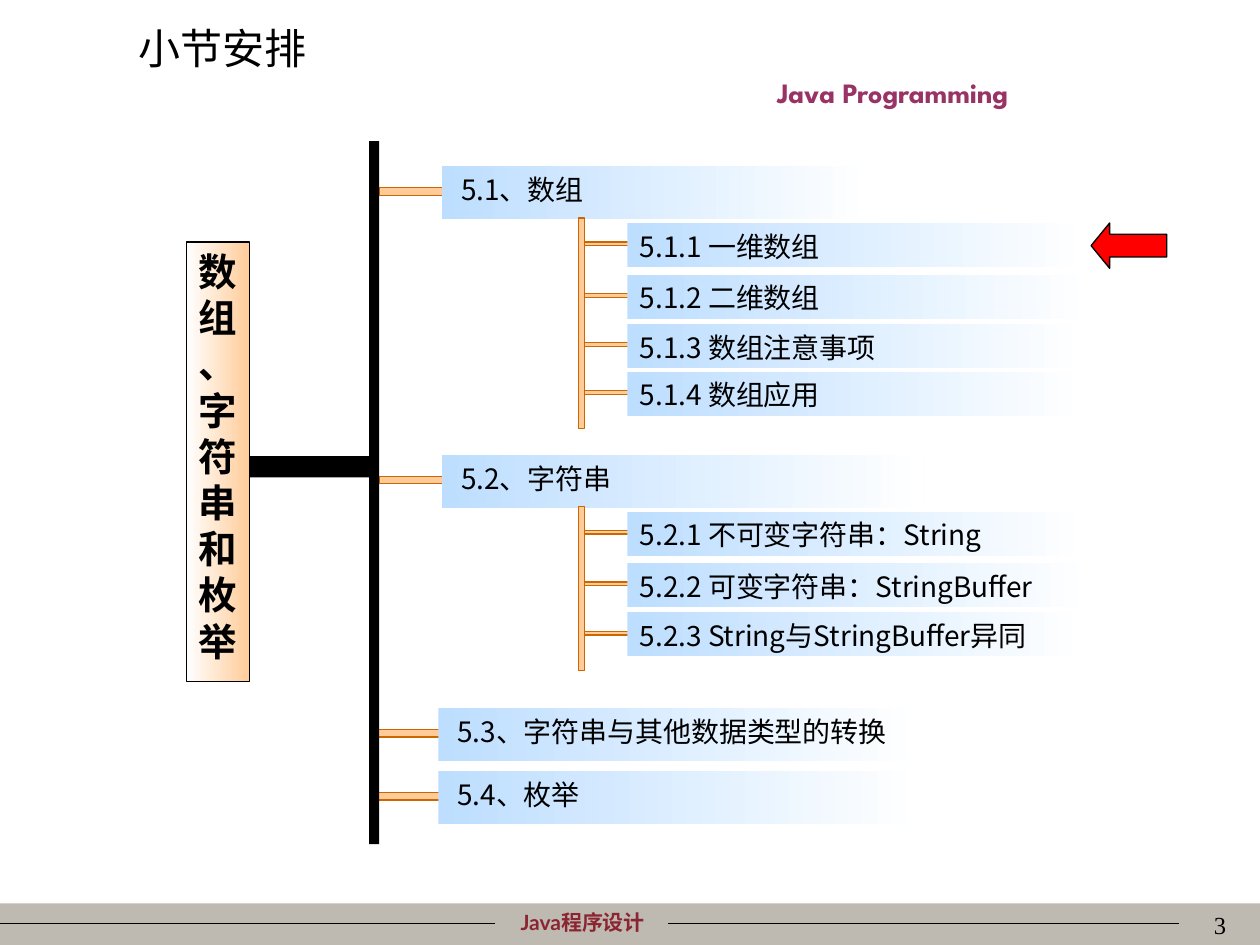
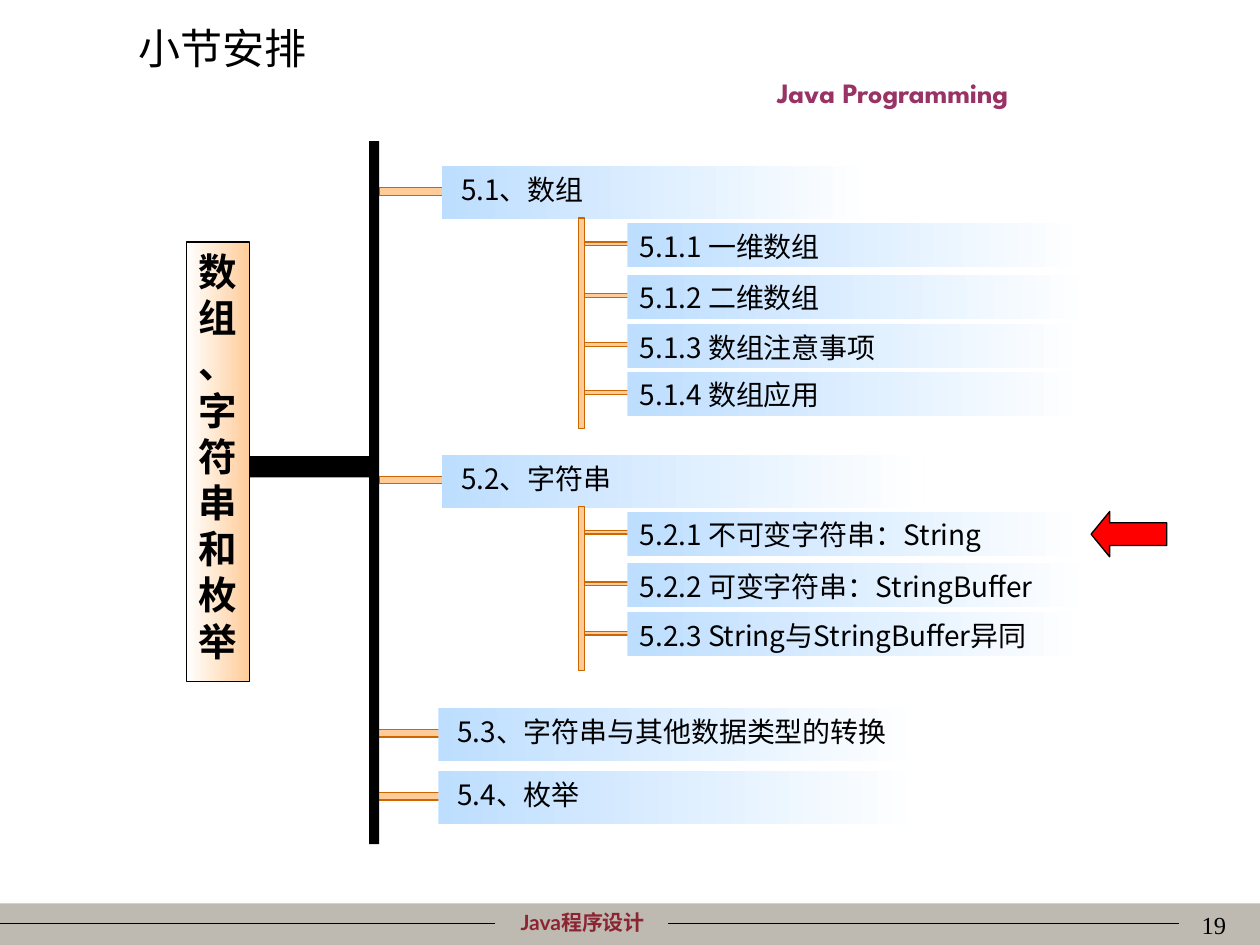
from lxml.etree import SubElement
from pptx import Presentation
from pptx.dml.color import RGBColor
from pptx.enum.shapes import MSO_CONNECTOR as LINK, MSO_SHAPE as SHAPE
from pptx.enum.text import MSO_ANCHOR as ANCHOR, PP_ALIGN as ALIGN
from pptx.oxml.ns import qn
from pptx.util import Inches, Pt

BLACK = RGBColor(0x00, 0x00, 0x00)
WHITE = RGBColor(0xFF, 0xFF, 0xFF)
RED = RGBColor(0xFF, 0x00, 0x00)
BLUE = RGBColor(0xBD, 0xDE, 0xFF)
PEACH = RGBColor(0xFF, 0xCC, 0x99)
RUST = RGBColor(0xCC, 0x66, 0x00)
TAUPE = RGBColor(0xBF, 0xBA, 0xB1)
WINE = RGBColor(0x8C, 0x25, 0x32)
PLUM = RGBColor(0x99, 0x33, 0x66)
HAN = "Noto Sans CJK SC"

# Section: left, top, width, heading, rail height, topics
SECTIONS = [
    (3.51, 1.32, 3.41, "5.1、数组", 1.67,
     ["5.1.1 一维数组", "5.1.2 二维数组", "5.1.3 数组注意事项", "5.1.4 数组应用"]),
    (3.51, 3.61, 3.83, "5.2、字符串", 1.3,
     ["5.2.1 不可变字符串：String", "5.2.2 可变字符串：StringBuffer",
      "5.2.3 String与StringBuffer异同"]),
    (3.48, 5.62, 3.83, "5.3、字符串与其他数据类型的转换", 0, []),
    (3.48, 6.12, 3.83, "5.4、枚举", 0, []),
]
# Topic: drop below the section top, width
ROWS = [(0.45, 3.65), (0.86, 3.69), (1.25, 3.64), (1.63, 3.64)]
# Page number and the top of the arrow
PAGES = [("3", 1.77), ("19", 4.06)]


def block(slide, box, fill, line=None, kind=SHAPE.RECTANGLE):
    """Add a shape; a pair of colours as fill gives a left-to-right gradient."""
    shape = slide.shapes.add_shape(kind, *map(Inches, box))
    shape.shadow.inherit = False
    if isinstance(fill, list):
        shape.fill.gradient()
        shape.fill.gradient_angle = 0
        for stop, color in zip(shape.fill.gradient_stops, fill):
            stop.color.rgb = color
    else:
        shape.fill.solid()
        shape.fill.fore_color.rgb = fill
    if line is None:
        shape.line.fill.background()
    else:
        shape.line.color.rgb = line
        shape.line.width = Pt(0.75)
    return shape


def write(shape, text, size, color=BLACK, font=HAN, bold=False,
          align=ALIGN.LEFT, anchor=ANCHOR.TOP, inset=0.1):
    """Put one run of text in a shape and return its paragraph."""
    frame = shape.text_frame
    frame.word_wrap = True
    frame.vertical_anchor = anchor
    frame.margin_left = Inches(inset)
    para = frame.paragraphs[0]
    para.alignment = align
    run = para.add_run()
    run.text = text
    run.font.size = Pt(size)
    run.font.bold = bold
    run.font.color.rgb = color
    run.font.name = font
    SubElement(run.font._element, qn("a:ea"), typeface=HAN)
    return para


prs = Presentation()
prs.slide_width, prs.slide_height = Inches(10), Inches(7.5)

for page, mark in PAGES:
    slide = prs.slides.add_slide(prs.slide_layouts[5])

    # Title
    title = slide.shapes.title
    title.left, title.top = Inches(1), Inches(0.13)
    title.width, title.height = Inches(2.85), Inches(0.5)
    write(title, "小节安排", 24, anchor=ANCHOR.MIDDLE)

    # Footer band and its rules
    block(slide, (0, 7.17, 10, 0.33), TAUPE)
    for start, end in [(0, 3.93), (5.3, 9.36)]:
        rule = slide.shapes.add_connector(
            LINK.STRAIGHT, Inches(start), Inches(7.33), Inches(end), Inches(7.33))
        rule.line.color.rgb = BLACK
        rule.line.width = Pt(0.75)
        SubElement(rule._element.spPr, qn("a:effectLst"))

    # Course name, heading and page number
    for box, text, size, color, font, bold, align in [
        ((3.62, 7.17, 2.01, 0.3), "Java程序设计", 12, WINE, "Lato", True, ALIGN.CENTER),
        ((5.08, 0.55, 4.01, 0.37), "Java Programming", 16, PLUM, "League Spartan",
         True, ALIGN.CENTER),
        ((7.75, 7.17, 2.08, 0.5), page, 14, BLACK, "Times New Roman", False, ALIGN.RIGHT),
    ]:
        label = slide.shapes.add_textbox(*map(Inches, box))
        write(label, text, size, color, font, bold, align)

    # Chapter box and stem
    root = block(slide, (1.48, 1.92, 0.5, 3.49), [WHITE, PEACH], BLACK)
    para = write(root, "数组、字符串和枚举", 22, bold=True, align=ALIGN.CENTER)
    para.line_spacing = Pt(26.4)
    block(slide, (1.98, 3.62, 1, 0.17), BLACK)

    # Sections with their topics
    for left, top, width, head, rail, topics in SECTIONS:
        block(slide, (left - 0.5, top + 0.17, 0.51, 0.06), PEACH, RUST)
        bar = block(slide, (left, top, width, 0.42), [BLUE, WHITE])
        write(bar, head, 16, inset=0.15)
        for topic, (drop, wide) in zip(topics, ROWS):
            block(slide, (4.61, top + drop + 0.15, 0.51, 0.03), PEACH, RUST)
            bar = block(slide, (4.98, top + drop, wide, 0.35), [BLUE, WHITE])
            write(bar, topic, 16)
        if topics:
            block(slide, (4.59, top + 0.41, 0.05, rail), PEACH, RUST)

    # Spine, and the arrow at the current topic
    block(slide, (2.93, 1.12, 0.08, 5.58), BLACK)
    arrow = block(slide, (8.66, mark, 0.6, 0.36), RED, BLACK, SHAPE.LEFT_ARROW)
    arrow.adjustments[1] = 0.41

prs.save("out.pptx")
